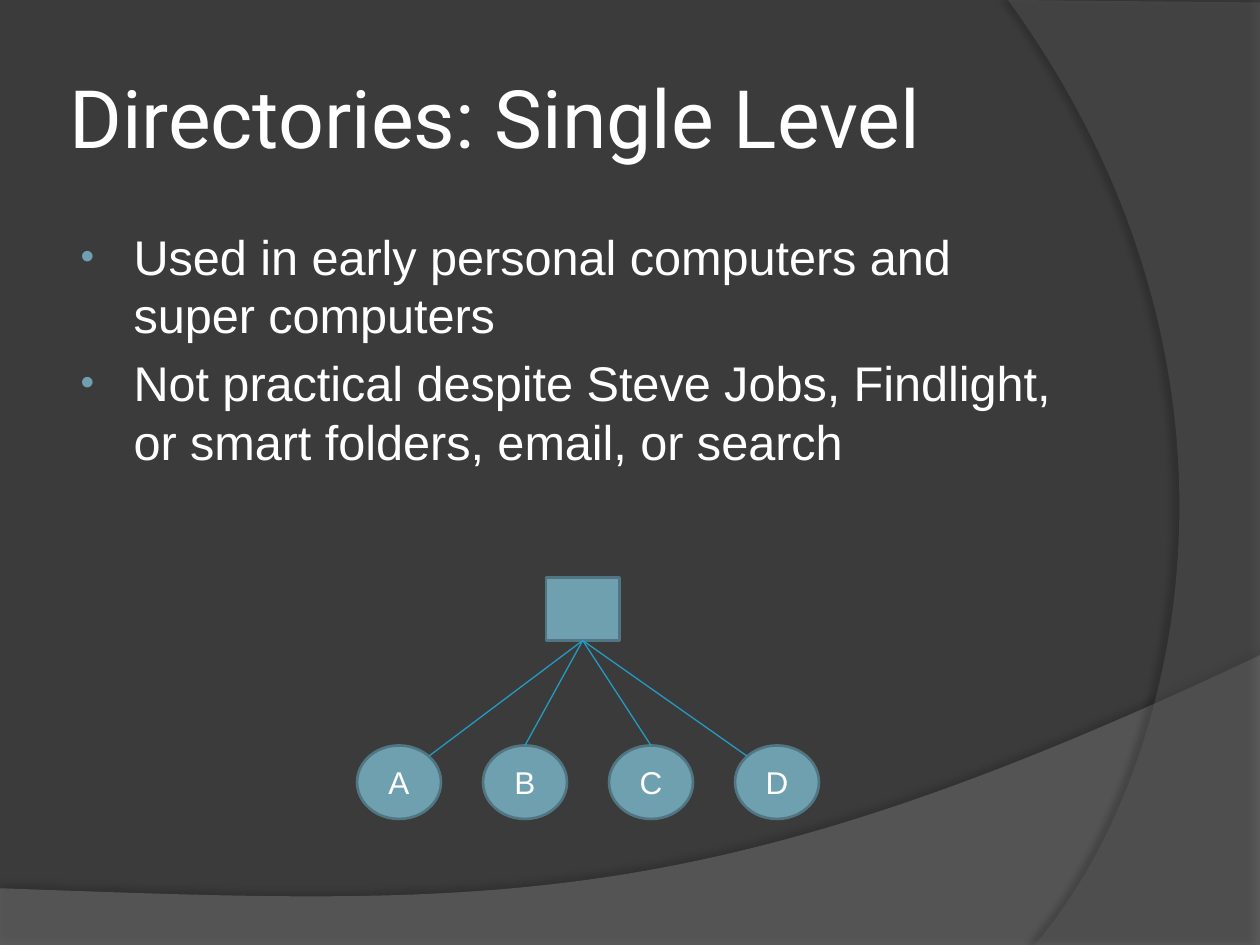
from math import cos, radians, sin

from lxml.etree import SubElement
from pptx import Presentation
from pptx.dml.color import RGBColor
from pptx.enum.shapes import MSO_CONNECTOR, MSO_SHAPE
from pptx.enum.text import MSO_ANCHOR, MSO_AUTO_SIZE, PP_ALIGN
from pptx.oxml.ns import qn
from pptx.util import Inches, Pt

DARK = RGBColor(0x3B, 0x3B, 0x3B)
GRAY = RGBColor(0x7F, 0x7F, 0x7F)
SLATE = RGBColor(0x5E, 0x5E, 0x5E)
WHITE = RGBColor(0xFF, 0xFF, 0xFF)
TEAL = RGBColor(0x6E, 0xA0, 0xB0)
EDGE = RGBColor(0x51, 0x76, 0x82)
LINK = RGBColor(0x23, 0x9B, 0xC2)
POINTS = [
    "Used in early personal computers and super computers",
    "Not practical despite Steve Jobs, Findlight, or smart folders, email, or search",
]
NODES = [("A", 45), ("B", 90), ("C", 90), ("D", 135)]
UNIT = 1 / 12


def add(parent, tag, **attrs):
    """Append a drawing element with the given attributes."""
    return SubElement(parent, qn(tag), {key: str(val) for key, val in attrs.items()})


def set_font(para, name, size):
    """Format the runs of a paragraph in white."""
    for run in para.runs:
        run.font.name = name
        run.font.size = Pt(size)
        run.font.color.rgb = WHITE


def bend(shape, bends, end):
    """Turn the last side of an outline into a cubic curve."""
    side = list(shape.element.iter(qn("a:lnTo")))[-1]
    arc = add(side.getparent(), "a:cubicBezTo")
    for x, y in (*bends, end):
        add(arc, "a:pt", x=Inches(x) - shape.left, y=Inches(y) - shape.top)
    side.getparent().replace(side, arc)


def add_sweep(slide, spots, bends, color, alpha, shade, dist, angle):
    """Draw a translucent outline with a curved last side and a soft shadow."""
    first, *rest = [(Inches(x), Inches(y)) for x, y in spots]
    pen = slide.shapes.build_freeform(*first)
    pen.add_line_segments(rest, close=True)
    shape = pen.convert_to_shape()
    bend(shape, bends, spots[-1])
    shape.fill.solid()
    shape.fill.fore_color.rgb = color
    shape.line.fill.background()
    props = shape.element.spPr
    add(props.find(qn("a:solidFill"))[0], "a:alpha", val=alpha * 1000)
    effect = add(props, "a:effectLst")
    cast = add(effect, "a:outerShdw", blurRad=Pt(4), dist=Pt(dist),
               dir=angle * 60000, algn="ctr", rotWithShape=0)
    add(add(cast, "a:srgbClr", val="000000"), "a:alpha", val=shade * 1000)


def add_backdrop(slide, width, height):
    """Fill the background and draw its two sweeps."""
    slide.background.fill.solid()
    slide.background.fill.fore_color.rgb = DARK
    add_sweep(slide, [(0, height), (width, height), (width, 5.2), (0, 7.05)],
              [(5.59, 7.29), (3.91, 7.19)], GRAY, 45, 35, 3.5, 270)
    add_sweep(slide, [(width, 0.02), (width, height), (8.21, height), (8, 0)],
              [(9.35, 6.19), (10.18, 3)], SLATE, 40, 45, 4, 180)


def place(shape, left, top, width, height):
    """Move a placeholder to its box, in front of what is drawn."""
    shape.left, shape.top = Inches(left), Inches(top)
    shape.width, shape.height = Inches(width), Inches(height)
    shape.element.getparent().append(shape.element)
    shape.text_frame.auto_size = MSO_AUTO_SIZE.NONE
    return shape.text_frame


def add_title(slide, box):
    """Place and format the title."""
    frame = place(slide.shapes.title, *box)
    frame.text = "Directories: Single Level"
    frame.vertical_anchor = MSO_ANCHOR.MIDDLE
    frame.margin_left = frame.margin_right = Inches(0.05)
    frame.margin_top = frame.margin_bottom = Inches(0.05)
    frame.paragraphs[0].alignment = PP_ALIGN.LEFT
    set_font(frame.paragraphs[0], "Roboto", 46)


def add_list(slide, box):
    """Place and format the bulleted list."""
    frame = place(slide.placeholders[1], *box)
    frame.text = "\n".join(POINTS)
    frame.margin_top = Inches(0.05)
    for rank, para in enumerate(frame.paragraphs):
        para.space_before = Pt(5.6 if rank else 0)
        props = para._p.get_or_add_pPr()
        props.set("marL", str(Inches(0.46)))
        props.set("indent", str(Inches(-0.42)))
        add(add(props, "a:buClr"), "a:srgbClr", val=TEAL)
        add(props, "a:buSzPct", val=80000)
        add(props, "a:buFont", typeface="Arial")
        add(props, "a:buChar", char="•")
        set_font(para, "Arial", 27.75)


def add_node(slide, kind, left, top, width, height, label=""):
    """Draw one labelled node of the tree."""
    node = slide.shapes.add_shape(
        kind, Inches(left), Inches(top), Inches(width), Inches(height))
    node.shadow.inherit = False
    node.fill.solid()
    node.fill.fore_color.rgb = TEAL
    node.line.color.rgb = EDGE
    node.line.width = Pt(1.5)
    if label:
        frame = node.text_frame
        frame.text = label
        frame.vertical_anchor = MSO_ANCHOR.MIDDLE
        frame.paragraphs[0].alignment = PP_ALIGN.CENTER
        set_font(frame.paragraphs[0], "Arial", 18)


def add_link(slide, start, end):
    """Draw a thin line between two points."""
    link = slide.shapes.add_connector(
        MSO_CONNECTOR.STRAIGHT, *[Inches(val) for val in (*start, *end)])
    link.line.color.rgb = LINK
    link.line.width = Pt(0.75)
    add(link.element.spPr, "a:effectLst")


def add_tree(slide, left, top, width, height):
    """Draw the directory and its files within a box."""
    wide, high, tall = 8 * UNIT, 7 * UNIT, 6 * UNIT
    gap = (width - wide) / (len(NODES) - 1)
    root = (left + 1.5 + high / 2, top + tall)
    base = top + height - high
    add_node(slide, MSO_SHAPE.RECTANGLE, left + 1.5, top, high, tall)
    for rank, (label, _) in enumerate(NODES):
        add_node(slide, MSO_SHAPE.OVAL, left + rank * gap, base, wide, high, label)
    for rank, (_, angle) in enumerate(NODES):
        turn = radians(angle)
        add_link(slide, root, (left + rank * gap + wide / 2 * (1 + cos(turn)),
                               base + high / 2 * (1 - sin(turn))))


def main():
    """Build and save the slide."""
    deck = Presentation()
    deck.slide_width, deck.slide_height = Inches(10), Inches(7.5)
    slide = deck.slides.add_slide(deck.slide_layouts[1])
    add_backdrop(slide, 10, 7.5)
    add_title(slide, (0.5, 0.3, 8.17, 1.25))
    add_list(slide, (0.5, 1.75, 8.17, 2))
    add_tree(slide, 34 * UNIT, 55 * UNIT, 44 * UNIT, 23 * UNIT)
    deck.save("out.pptx")


if __name__ == "__main__":
    main()
